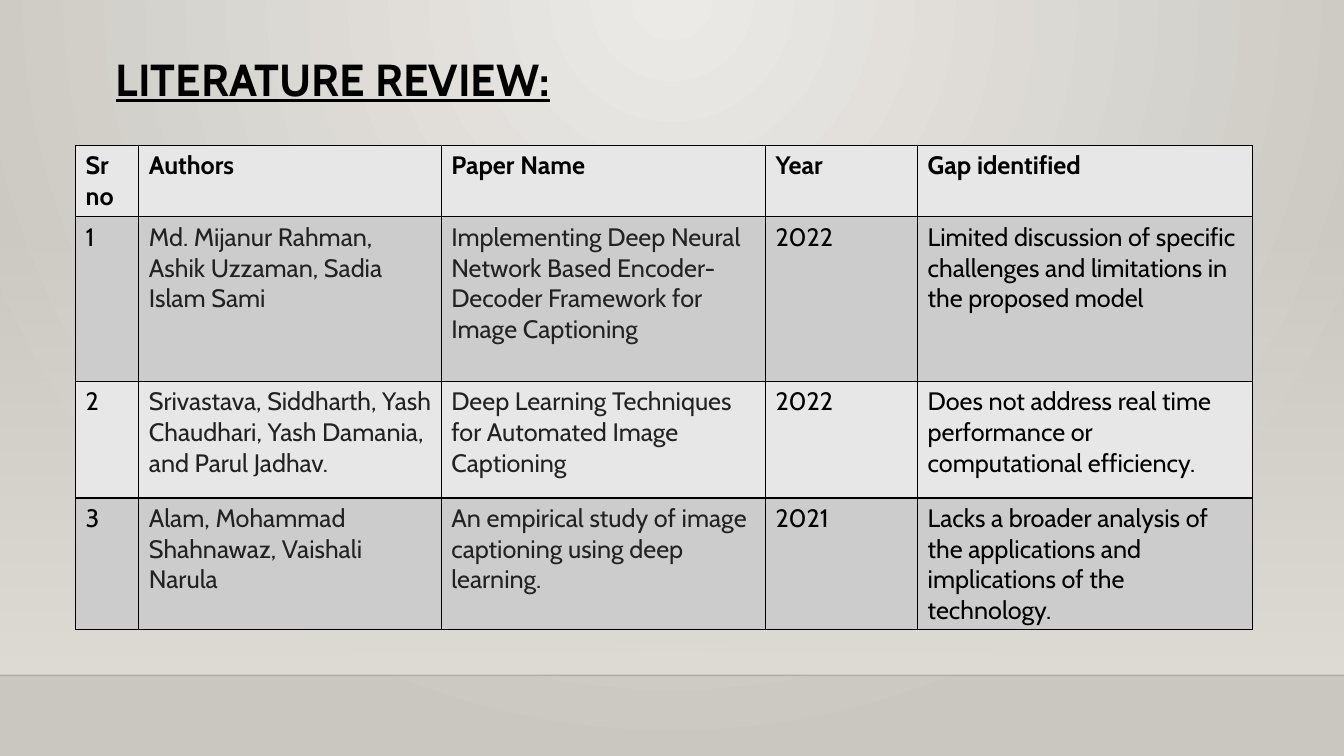
from pptx import Presentation
from pptx.dml.color import RGBColor
from pptx.enum import shapes, text
from pptx.oxml import parse_xml
from pptx.util import Pt

# Content
TITLE = "LITERATURE REVIEW:"
HEADER = ("Sr no", "Authors", "Paper Name", "Year", "Gap identified")
PAPERS = [
    ("1", "Md. Mijanur Rahman, Ashik Uzzaman, Sadia Islam Sami",
     "Implementing Deep Neural Network Based Encoder-Decoder Framework for Image Captioning",
     "2022", "Limited discussion of specific challenges and limitations in the proposed model"),
    ("2", "Srivastava, Siddharth, Yash Chaudhari, Yash Damania, and Parul Jadhav.",
     "Deep Learning Techniques for Automated Image Captioning",
     "2022", "Does not address real time performance or computational efficiency."),
    ("3", "Alam, Mohammad Shahnawaz, Vaishali Narula",
     "An empirical study of image captioning using deep learning.",
     "2021", "Lacks a broader analysis of the applications and implications of the technology."),
]

# Layout and look
WIDTH, HEIGHT = 960, 540
WALL_TOP, FLOOR_TOP = 159, 482.4
TITLE_BOX = (75.6, 33.1, 521.3, 46.1)
TABLE_LEFT, TABLE_TOP = 54, 103.9
COLUMN_WIDTHS = (45.2, 216, 231.6, 108.7, 239)
ROW_HEIGHTS = (51, 117.4, 83.5, 89.3)
CITATION_COLUMNS = (1, 2)
FONT = "Cabin"
COLORS = {
    "glow": "ECEAE7", "edge": "CAC7C1", "wall": "DFDBD5", "line": "000001",
    "text": "000000", "citation": "222222", "light": "E7E7E7", "dark": "CCCCCC",
}
NAMESPACE = 'xmlns:a="http://schemas.openxmlformats.org/drawingml/2006/main"'


def rgb(name):
    return RGBColor.from_string(COLORS[name])


def points(*lengths):
    return [Pt(length) for length in lengths]


def set_gradient(fill, *names):
    fill.gradient()
    for stop, name, position in zip(fill.gradient_stops, names, (0, 1)):
        stop.color.rgb = rgb(name)
        stop.position = position


def set_alpha(color_element, percent):
    color_element.append(parse_xml(f'<a:alpha {NAMESPACE} val="{percent * 1000}"/>'))


def write(frame, words, color, **formats):
    frame.word_wrap = True
    paragraph = frame.paragraphs[0]
    run = paragraph.add_run()
    run.text = words
    for name, value in {"name": FONT, **formats}.items():
        setattr(run.font, name, value)
    run.font.color.rgb = rgb(color)


def add_borders(cell):
    properties = cell._tc.get_or_add_tcPr()
    for index, side in enumerate(("lnL", "lnR", "lnT", "lnB")):
        properties.insert(index, parse_xml(
            f'<a:{side} {NAMESPACE} w="12700"><a:solidFill>'
            f'<a:srgbClr val="{COLORS["line"]}"/></a:solidFill></a:{side}>'))


presentation = Presentation()
presentation.slide_width, presentation.slide_height = points(WIDTH, HEIGHT)
slide = presentation.slides.add_slide(presentation.slide_layouts[6])

# Background glow from the top centre
set_gradient(slide.background.fill, "glow", "edge")
linear = slide.element.xpath(".//p:bg//a:lin")[0]
linear.getparent().replace(linear, parse_xml(
    f'<a:path {NAMESPACE} path="circle">'
    '<a:fillToRect l="43000" t="0" r="43000" b="100000"/></a:path>'))

# Wall fading in downwards
wall = slide.shapes.add_shape(
    shapes.MSO_SHAPE.RECTANGLE, *points(0, WALL_TOP, WIDTH, FLOOR_TOP - WALL_TOP))
wall.shadow.inherit = False
wall.line.fill.background()
set_gradient(wall.fill, "wall", "wall")
wall.fill.gradient_angle = 270
set_alpha(wall.element.xpath(".//a:gs/a:srgbClr")[0], 0)

# Floor line
floor = slide.shapes.add_connector(
    shapes.MSO_CONNECTOR.STRAIGHT, *points(0, FLOOR_TOP, WIDTH, FLOOR_TOP))
floor.line.width = Pt(1)
floor.line.color.rgb = rgb("line")
set_alpha(floor.element.xpath(".//a:ln//a:srgbClr")[0], 20)
floor.element.spPr.append(parse_xml(f"<a:effectLst {NAMESPACE}/>"))

# Title
title = slide.shapes.add_textbox(*points(*TITLE_BOX))
write(title.text_frame, TITLE, "text", size=Pt(32), bold=True, underline=True)
title.text_frame.auto_size = text.MSO_AUTO_SIZE.SHAPE_TO_FIT_TEXT

# Table of papers
rows = [HEADER, *PAPERS]
table = slide.shapes.add_table(
    len(rows), len(HEADER),
    *points(TABLE_LEFT, TABLE_TOP, sum(COLUMN_WIDTHS), sum(ROW_HEIGHTS))).table
for column, width in zip(table.columns, COLUMN_WIDTHS):
    column.width = Pt(width)
for row, height in zip(table.rows, ROW_HEIGHTS):
    row.height = Pt(height)
for r, values in enumerate(rows):
    for c, value in enumerate(values):
        cell = table.cell(r, c)
        cell.fill.solid()
        cell.fill.fore_color.rgb = rgb("dark" if r % 2 else "light")
        add_borders(cell)
        color = "citation" if r and c in CITATION_COLUMNS else "text"
        write(cell.text_frame, value, color, size=Pt(18), bold=r == 0)

presentation.save("out.pptx")
